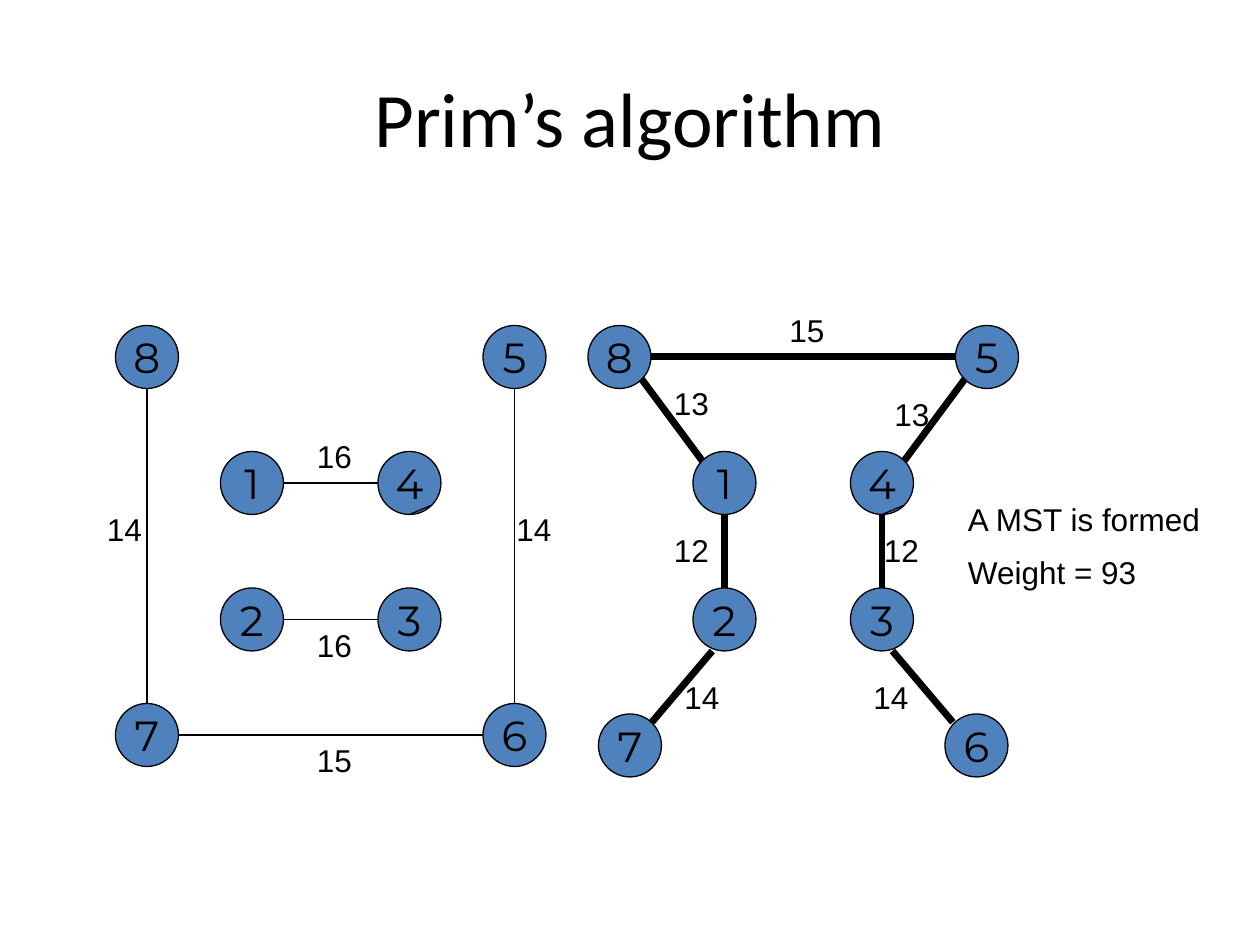
from dataclasses import dataclass

from lxml.etree import SubElement
from pptx import Presentation
from pptx.dml.color import RGBColor
from pptx.enum.shapes import MSO_CONNECTOR as Connector, MSO_SHAPE as Shape
from pptx.enum.text import MSO_ANCHOR as Anchor, MSO_AUTO_SIZE as AutoSize, PP_ALIGN as Align
from pptx.oxml.ns import qn
from pptx.util import Pt

COLORS = {"node": "4F81BD", "ink": "000000"}
FORMATS = {
    "title": {"name": "Calibri", "size": Pt(44)},
    "node": {"name": "Montserrat", "size": Pt(24)},
    "label": {"name": "Arial", "size": Pt(18)},
}
DIAMETER = 36
LABEL_HEIGHT = 28.8
THIN, THICK = 0.75, 4


@dataclass
class Node:
    name: str
    left: float
    top: float


@dataclass
class Edge:
    start: tuple[float, float]
    end: tuple[float, float]


@dataclass
class Label:
    lines: list[str]
    left: float
    top: float
    width: float = 42
    height: float = LABEL_HEIGHT


@dataclass
class Graph:
    nodes: list[Node]
    edges: list[Edge]
    labels: list[Label]
    edge_width: float
    chord: Edge  # thin stroke across the lower right of node 4


REMAINING = Graph(
    nodes=[
        Node("8", 66, 186), Node("5", 276, 186), Node("1", 126, 258), Node("4", 216, 258),
        Node("2", 126, 336), Node("3", 216, 336), Node("7", 66, 402), Node("6", 276, 402),
    ],
    edges=[
        Edge((84, 222), (84, 402)), Edge((102, 420), (276, 420)), Edge((294, 222), (294, 402)),
        Edge((162, 276), (216, 276)), Edge((162, 354), (216, 354)),
    ],
    labels=[
        Label(["14"], 288, 288), Label(["15"], 174, 420), Label(["14"], 54, 288),
        Label(["16"], 174, 246), Label(["16"], 174, 354, 48),
    ],
    edge_width=THIN,
    chord=Edge((246.7, 288.7), (234, 294)),
)

TREE = Graph(
    nodes=[
        Node("1", 396, 258), Node("2", 396, 336), Node("8", 336, 186), Node("7", 342, 408),
        Node("5", 546, 186), Node("4", 486, 258), Node("3", 486, 336), Node("6", 540, 408),
    ],
    edges=[
        Edge((414, 294), (414, 336)), Edge((366.7, 216.7), (401.3, 263.3)),
        Edge((407, 372), (372.5, 412.7)), Edge((372, 204), (546, 204)),
        Edge((516.7, 263.3), (551.3, 216.7)), Edge((504, 294), (504, 336)),
        Edge((510, 372), (544.5, 412.7)),
    ],
    labels=[
        Label(["12"], 378, 300), Label(["13"], 378, 216, 36), Label(["14"], 384, 384),
        Label(["15"], 444, 174), Label(["13"], 504, 222, 36), Label(["12"], 498, 300),
        Label(["14"], 492, 384, 36),
        Label(["A MST is formed", "Weight = 93"], 546, 282, 156, 61),
    ],
    edge_width=THICK,
    chord=Edge((516.7, 288.7), (504, 294)),
)


def color(name: str) -> RGBColor:
    return RGBColor.from_string(COLORS[name])


def format_paragraph(paragraph, style: str) -> None:
    for attribute, value in FORMATS[style].items():
        setattr(paragraph.font, attribute, value)
    paragraph.font.color.rgb = color("ink")


def draw_node(slide, node: Node) -> None:
    shape = slide.shapes.add_shape(
        Shape.OVAL, Pt(node.left), Pt(node.top), Pt(DIAMETER), Pt(DIAMETER))
    shape.shadow.inherit = False
    shape.fill.solid()
    shape.fill.fore_color.rgb = color("node")
    shape.line.color.rgb = color("ink")
    shape.line.width = Pt(THIN)
    frame = shape.text_frame
    frame.word_wrap = False
    frame.vertical_anchor = Anchor.MIDDLE
    paragraph = frame.paragraphs[0]
    paragraph.text = node.name
    paragraph.alignment = Align.CENTER
    format_paragraph(paragraph, "node")


def draw_edge(slide, edge: Edge, width: float) -> None:
    ends = [Pt(value) for value in (*edge.start, *edge.end)]
    connector = slide.shapes.add_connector(Connector.STRAIGHT, *ends)
    connector.line.color.rgb = color("ink")
    connector.line.width = Pt(width)
    SubElement(connector._element.spPr, qn("a:effectLst"))


def draw_label(slide, label: Label) -> None:
    box = slide.shapes.add_textbox(
        Pt(label.left), Pt(label.top), Pt(label.width), Pt(label.height))
    frame = box.text_frame
    frame.word_wrap = True
    frame.auto_size = AutoSize.SHAPE_TO_FIT_TEXT
    for index, line in enumerate(label.lines):
        paragraph = frame.add_paragraph() if index else frame.paragraphs[0]
        paragraph.text = line
        if index:
            paragraph.space_before = Pt(9)
        format_paragraph(paragraph, "label")


def draw_graph(slide, graph: Graph) -> None:
    for node in graph.nodes:
        draw_node(slide, node)
    for edge in graph.edges:
        draw_edge(slide, edge, graph.edge_width)
    draw_edge(slide, graph.chord, THIN)
    for label in graph.labels:
        draw_label(slide, label)


def draw_title(slide, text: str) -> None:
    title = slide.shapes.title
    title.left, title.top, title.width, title.height = Pt(36), Pt(21.6), Pt(648), Pt(90)
    title.text_frame.vertical_anchor = Anchor.MIDDLE
    paragraph = title.text_frame.paragraphs[0]
    paragraph.text = text
    paragraph.alignment = Align.CENTER
    format_paragraph(paragraph, "title")


def main() -> None:
    presentation = Presentation()
    presentation.slide_width, presentation.slide_height = Pt(720), Pt(540)
    slide = presentation.slides.add_slide(presentation.slide_layouts[5])
    draw_title(slide, "Prim’s algorithm")
    # Remaining edges on the left, spanning tree on the right
    for graph in (REMAINING, TREE):
        draw_graph(slide, graph)
    presentation.save("out.pptx")


if __name__ == "__main__":
    main()
